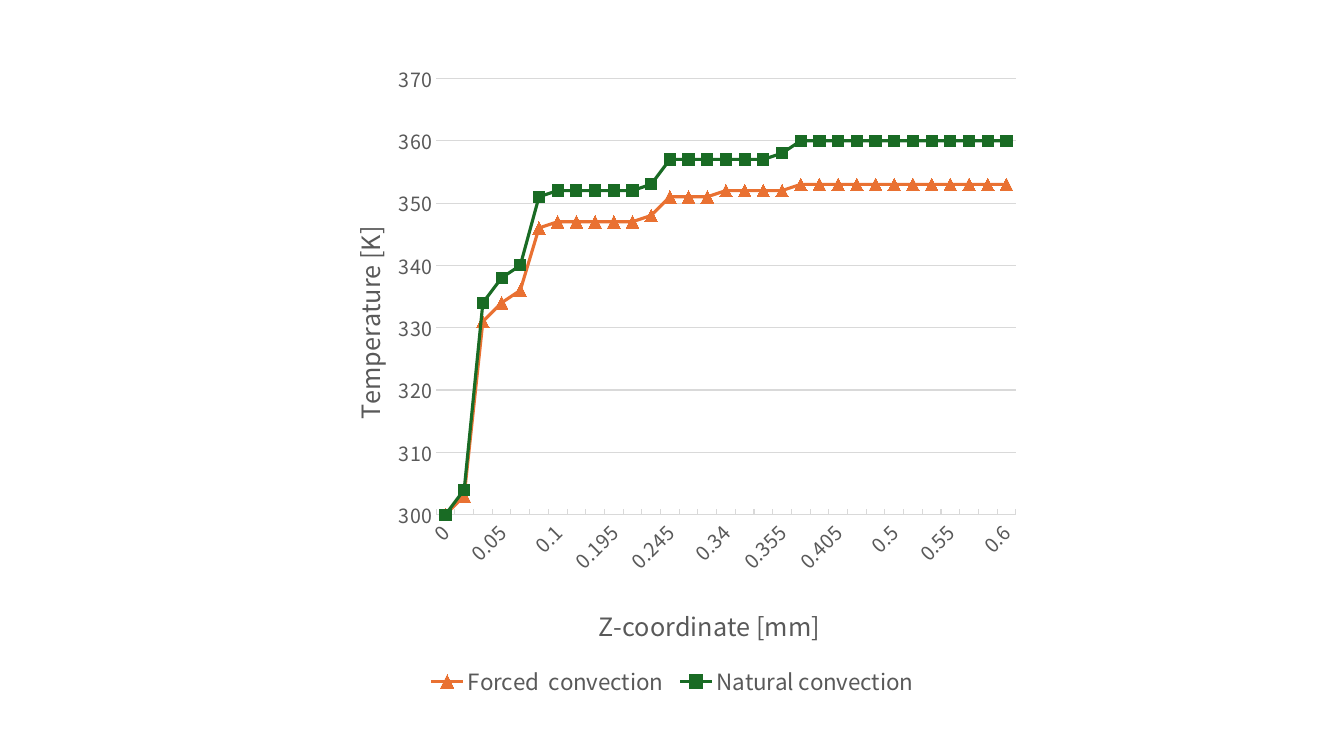
import pptx
import pptx.util
import pptx.chart.data
import pptx.dml.color
import pptx.enum.chart
import pptx.oxml
import pptx.oxml.ns
from pptx.util import Pt

enum = pptx.enum.chart
qn = pptx.oxml.ns.qn

DEPTHS = [0, 0.005, 0.045, 0.05, 0.055, 0.095, 0.1, 0.105, 0.19, 0.195, 0.2,
          0.205, 0.245, 0.25, 0.255, 0.34, 0.345, 0.35, 0.355, 0.395, 0.4,
          0.405, 0.49, 0.495, 0.5, 0.505, 0.545, 0.55, 0.555, 0.595, 0.6]
FORCED = [300, 303, 331, 334, 336, 346] + [347] * 5 + [348] + [351] * 3 + [352] * 4 + [353] * 12
NATURAL = [300, 304, 334, 338, 340, 351] + [352] * 5 + [353] + [357] * 6 + [358] + [360] * 12


def color(code):
    return pptx.dml.color.RGBColor.from_string(code)


def format_font(font, size, face="Noto Sans CJK JP", tint="595959"):
    font.size = Pt(size)
    font.name = face
    font.bold = False
    font.color.rgb = color(tint)


def write(frame, text, size=18, turn=0):
    frame.text = text
    format_font(frame.paragraphs[0].runs[0].font, size)
    frame._txBody.find(qn("a:bodyPr")).set("rot", str(turn * 60000))


def make(tag, **marks):
    item = pptx.oxml.parse_xml(
        f'<{tag} xmlns:c="http://schemas.openxmlformats.org/drawingml/2006/chart"/>')
    for name, value in marks.items():
        item.set(name, str(value))
    return item


def place(owner, target=None, **spots):
    layout = owner.find(qn("c:layout"))
    if layout is None:
        layout = make("c:layout")
        owner.insert(0, layout)
    manual = make("c:manualLayout")
    layout.append(manual)
    if target:
        manual.append(make("c:layoutTarget", val=target))
    for mode in ("xMode", "yMode"):
        manual.append(make(f"c:{mode}", val="edge"))
    for name, value in spots.items():
        manual.append(make(f"c:{name}", val=value))


class Page:
    grey = "D9D9D9"

    def __init__(self, deck):
        self.slide = deck.slides.add_slide(deck.slide_layouts[6])

    def graph(self, left, top, width, height, cats, rows):
        data = pptx.chart.data.CategoryChartData()
        data.categories = cats
        for name, values in rows:
            data.add_series(name, values)
        chart = self.slide.shapes.add_chart(
            enum.XL_CHART_TYPE.LINE_MARKERS, Pt(left), Pt(top), Pt(width), Pt(height), data).chart
        chart.has_title = False
        chart.plots[0].vary_by_categories = False
        format_font(chart.font, 10, tint="000000")
        place(chart._chartSpace.chart.plotArea, "inner", x=0.17, y=0.04, w=0.81, h=0.67)
        return chart

    def rule(self, line, tint, width):
        line.color.rgb = color(tint)
        line.width = Pt(width)

    def curve(self, series, tint, style, size):
        series.smooth = False
        self.rule(series.format.line, tint, 2.25)
        marker = series.marker
        marker.style = style
        marker.size = size
        marker.format.fill.solid()
        marker.format.fill.fore_color.rgb = color(tint)
        marker.format.line.fill.background()

    def axis(self, axis, title, x, y, tick, turn=0):
        axis.has_title = True
        write(axis.axis_title.text_frame, title, turn=turn)
        place(axis.axis_title._element, x=x, y=y)
        axis.major_tick_mark = tick
        axis.minor_tick_mark = enum.XL_TICK_MARK.NONE
        format_font(axis.tick_labels.font, 14)

    def across(self, axis, skip):
        self.axis(axis, "Z-coordinate [mm]", 0.39, 0.84, enum.XL_TICK_MARK.INSIDE)
        self.rule(axis.format.line, self.grey, 0.75)
        body = axis._element
        body.find(qn("c:txPr")).find(qn("a:bodyPr")).set("rot", str(-45 * 60000))
        body.find(qn("c:noMultiLvlLbl")).addprevious(make("c:tickLblSkip", val=skip))

    def upright(self, axis, low, high, step):
        self.axis(axis, "Temperature [K]", 0.04, 0.26, enum.XL_TICK_MARK.NONE, -90)
        axis.minimum_scale = low
        axis.maximum_scale = high
        axis.major_unit = step
        axis.format.line.fill.background()
        axis.has_major_gridlines = True
        self.rule(axis.major_gridlines.format.line, self.grey, 0.75)

    def legend(self, chart):
        chart.has_legend = True
        legend = chart.legend
        legend.position = enum.XL_LEGEND_POSITION.BOTTOM
        legend.include_in_layout = False
        format_font(legend.font, 16)
        place(legend._element, x=0.15, y=0.94, w=0.7, h=0.06)


def main():
    deck = pptx.Presentation()
    deck.slide_width = Pt(960)
    deck.slide_height = Pt(540)
    page = Page(deck)
    chart = page.graph(224.64, 37.44, 511.2, 465.12, DEPTHS,
                       [("Forced  convection", FORCED), ("Natural convection", NATURAL)])
    forced, natural = chart.plots[0].series
    page.curve(forced, "E97132", enum.XL_MARKER_STYLE.TRIANGLE, 9)
    page.curve(natural, "196B24", enum.XL_MARKER_STYLE.SQUARE, 8)
    page.across(chart.category_axis, 3)
    page.upright(chart.value_axis, 300, 370, 10)
    page.legend(chart)
    deck.save("out.pptx")


if __name__ == "__main__":
    main()
